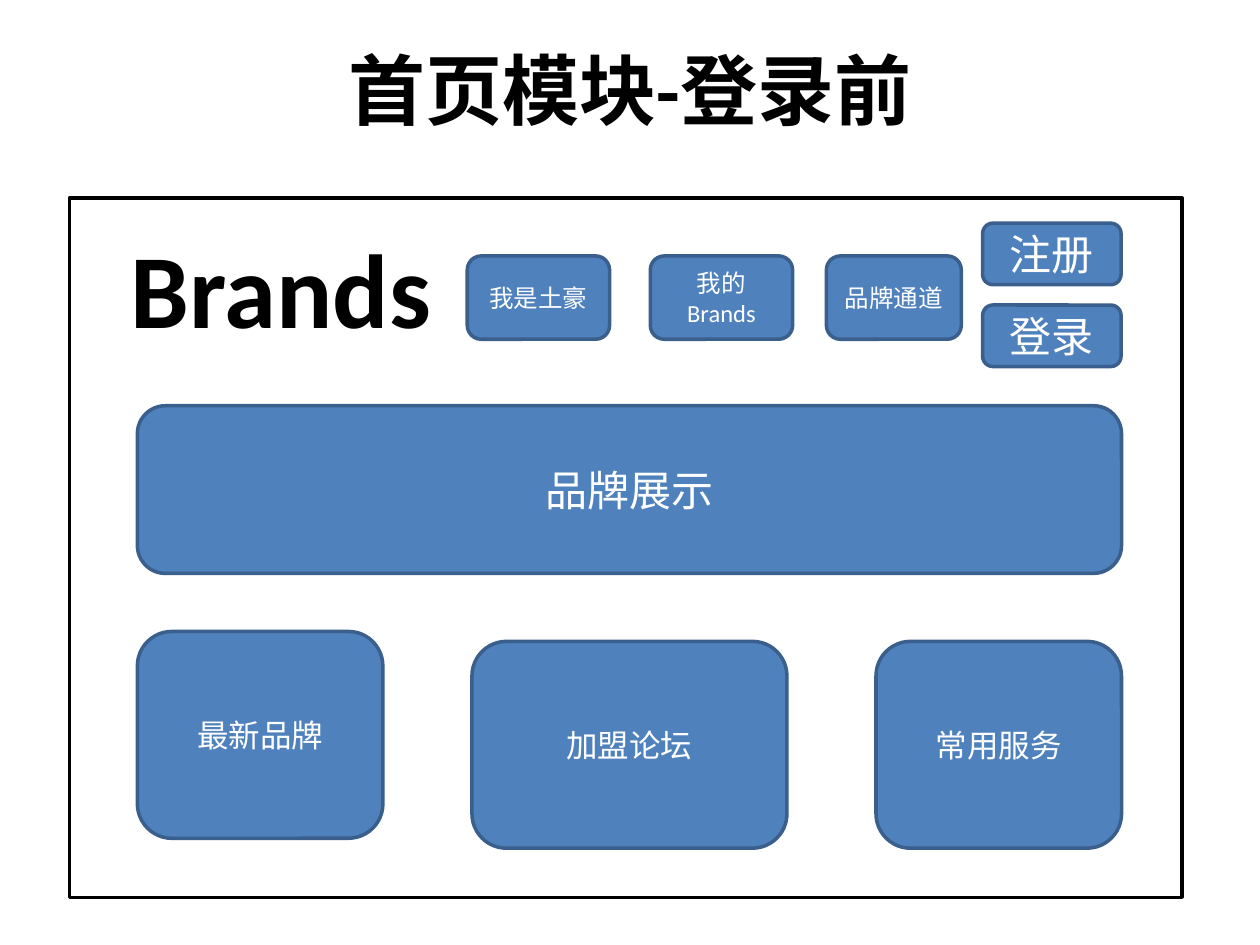
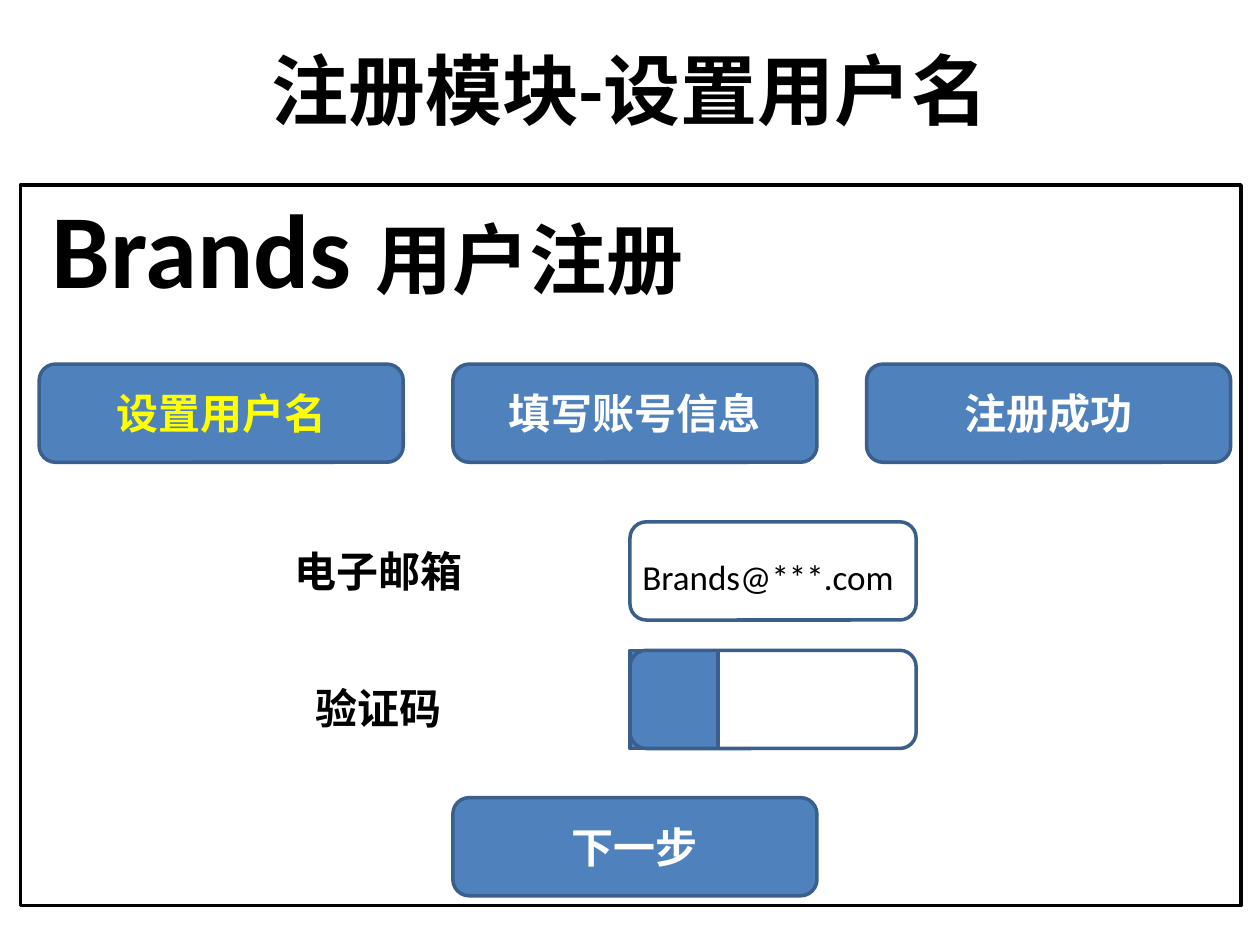
from pptx import Presentation
from pptx.dml.color import RGBColor
from pptx.enum.shapes import MSO_SHAPE
from pptx.enum.text import MSO_ANCHOR, PP_ALIGN
from pptx.util import Cm, Pt

ROUNDED, RECTANGLE = MSO_SHAPE.ROUNDED_RECTANGLE, MSO_SHAPE.RECTANGLE
MIDDLE, TOP = MSO_ANCHOR.MIDDLE, MSO_ANCHOR.TOP
CENTER, LEFT = PP_ALIGN.CENTER, PP_ALIGN.LEFT

BLUE = RGBColor(0x4F, 0x81, 0xBD)
EDGE = RGBColor(0x3A, 0x5F, 0x8C)
BLACK = RGBColor(0, 0, 0)
WHITE = RGBColor(255, 255, 255)
YELLOW = RGBColor(255, 255, 0)
FONT = "Calibri"

# Content; boxes are (left, top, width, height) in centimetres
TITLE_BOX = (1.27, 0.2, 22.86, 3.18)
BRAND = "Brands"

HOME_TITLE = "首页模块-登录前"
HOME_FRAME = (1.4, 3.99, 22.43, 14.1)
HOME_BRAND_BOX = (2.39, 4.39, 7.34, 2.82)
ACCOUNT_BUTTONS = ["注册", "登录"]
SHOWCASE = ("品牌展示", (2.77, 8.18, 19.84, 3.38))
PANELS = [("最新品牌", 12.73, 4.95), ("加盟论坛", 12.93, 6.35),
          ("常用服务", 12.93, 4.95)]  # label, top, width
NAVIGATION = [("我是土豪", 9.42, 2.87), ("我的Brands", 13.11, 2.87),
              ("品牌通道", 16.66, 2.72)]  # label, left, width

REGISTER_TITLE = "注册模块-设置用户名"
REGISTER_FRAME = (0.41, 3.73, 24.61, 14.53)
REGISTER_HEADING = "用户注册"
REGISTER_HEADING_BOX = (0.79, 3.58, 14.68, 2.82)
STEPS = [("设置用户名", YELLOW), ("填写账号信息", WHITE), ("注册成功", WHITE)]
FIELDS = [("电子邮箱", 10.52, 10.52), ("验证码", 13.28, 13.11)]  # label, its top, field top
EMAIL = ("Brands@***.com", (12.7, 11.07, 5.64, 1.12))
NEXT_STEP = "下一步"

STEP_LEFT, STEP_TOP, STEP_PITCH = 0.79, 7.34, 8.34
STEP_WIDTH, ROW_HEIGHT = 7.34, 1.98
LABEL_LEFT, FIELD_LEFT, FIELD_WIDTH = 4.75, 12.7, 5.77
CODE_WIDTH = 1.78


def write(shape, spans, color, bold, align, anchor, wrap=True):
    """Write (text, size) spans as one paragraph in a shape."""
    frame = shape.text_frame
    frame.word_wrap = wrap
    frame.vertical_anchor = anchor
    para = frame.paragraphs[0]
    para.alignment = align
    for text, size in spans:
        span = para.add_run()
        span.text = text
        span.font.name = FONT
        span.font.size = Pt(size)
        span.font.bold = bold
        span.font.color.rgb = color


def add_text(page, box, spans, bold=True, align=LEFT, anchor=TOP, wrap=True):
    """Add a black text box."""
    shape = page.shapes.add_textbox(*map(Cm, box))
    write(shape, spans, BLACK, bold, align, anchor, wrap)


def add_box(page, box, text="", size=24, color=WHITE, bold=False,
            fill=BLUE, edge=EDGE, preset=ROUNDED):
    """Add a preset shape with centred text; None means no fill or no line."""
    shape = page.shapes.add_shape(preset, *map(Cm, box))
    shape.shadow.inherit = False
    if fill is None:
        shape.fill.background()
    else:
        shape.fill.solid()
        shape.fill.fore_color.rgb = fill
    if edge is None:
        shape.line.fill.background()
    else:
        shape.line.color.rgb = edge
        shape.line.width = Pt(2)
    if text:
        write(shape, [(text, size)], color, bold, CENTER, MIDDLE)
    return shape


def add_page(deck, title, frame):
    """Add a page with its title and the outlined screen frame."""
    page = deck.slides.add_slide(deck.slide_layouts[6])
    add_text(page, TITLE_BOX, [(title, 44)], align=CENTER, anchor=MIDDLE)
    add_box(page, frame, fill=None, edge=BLACK, preset=RECTANGLE)
    return page


def build_home(deck):
    """Build the home screen before login."""
    page = add_page(deck, HOME_TITLE, HOME_FRAME)
    add_text(page, HOME_BRAND_BOX, [(BRAND, 60)])
    for index, label in enumerate(ACCOUNT_BUTTONS):
        add_box(page, (19.81, 4.5 + 1.65 * index, 2.79, 1.24), label)
    for label, left, width in NAVIGATION:
        add_box(page, (left, 5.16, width, 1.68), label, 14)

    label, showcase_box = SHOWCASE
    add_box(page, showcase_box, label)
    left, _, total, _ = showcase_box
    gap = (total - sum(width for _, _, width in PANELS)) / (len(PANELS) - 1)
    for label, top, width in PANELS:
        add_box(page, (left, top, width, 4.17), label, 18)
        left += width + gap


def build_register(deck):
    """Build the registration screen for the user name."""
    page = add_page(deck, REGISTER_TITLE, REGISTER_FRAME)
    add_text(page, REGISTER_HEADING_BOX,
             [(BRAND + " ", 60), (REGISTER_HEADING, 44)])
    for index, (label, color) in enumerate(STEPS):
        left = STEP_LEFT + STEP_PITCH * index
        add_box(page, (left, STEP_TOP, STEP_WIDTH, ROW_HEIGHT), label,
                color=color, bold=True)

    code_top = FIELDS[-1][2]
    code = add_box(page, (FIELD_LEFT, code_top, CODE_WIDTH, ROW_HEIGHT))
    code.adjustments[0] = 0
    for label, label_top, field_top in FIELDS:
        add_box(page, (LABEL_LEFT, label_top, FIELD_WIDTH, ROW_HEIGHT), label,
                color=BLACK, bold=True, fill=None, edge=None)
        add_box(page, (FIELD_LEFT, field_top, FIELD_WIDTH, ROW_HEIGHT), fill=None)
    text, box = EMAIL
    add_text(page, box, [(text, 20)], bold=False, wrap=False)
    add_box(page, (STEP_LEFT + STEP_PITCH, 16.08, STEP_WIDTH, ROW_HEIGHT),
            NEXT_STEP, bold=True)


deck = Presentation()
deck.slide_width, deck.slide_height = Cm(25.4), Cm(19.05)
build_home(deck)
build_register(deck)
deck.save("out.pptx")
